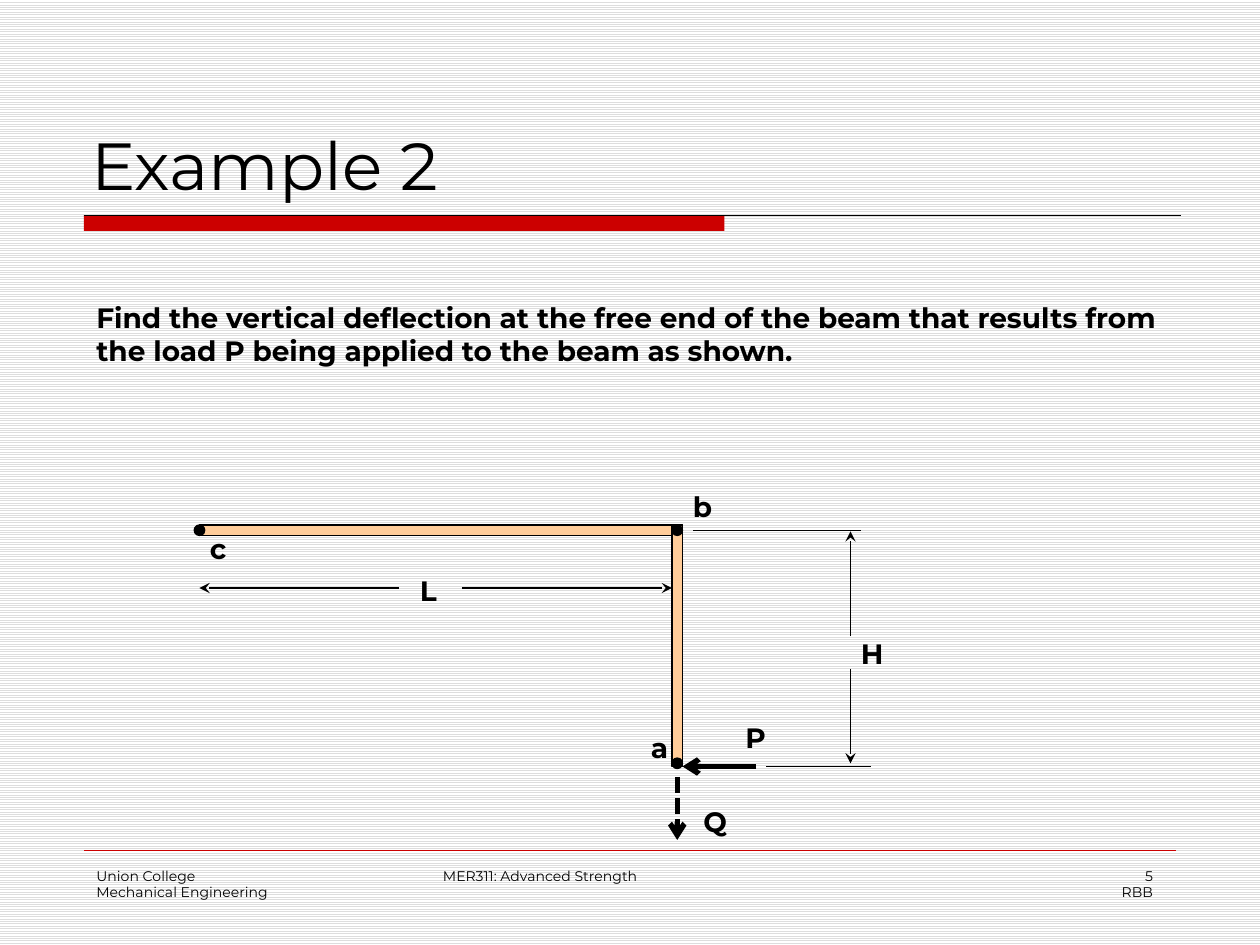
from typing import NamedTuple

from lxml.etree import SubElement
from pptx import Presentation
from pptx.dml.color import RGBColor
from pptx.enum.dml import MSO_LINE, MSO_PATTERN
from pptx.enum.shapes import MSO_CONNECTOR, MSO_SHAPE
from pptx.enum.text import MSO_ANCHOR, MSO_AUTO_SIZE as AutoSize, PP_ALIGN as Align
from pptx.oxml.ns import qn
from pptx.util import Emu, Inches, Pt

BLACK = RGBColor(0x00, 0x00, 0x00)
WHITE = RGBColor(0xFF, 0xFF, 0xFF)
STRIPE = RGBColor(0xDD, 0xDD, 0xDD)
RED = RGBColor(0xCC, 0x00, 0x00)
BEAM = RGBColor(0xFF, 0xCC, 0x99)
FONT = "Montserrat"
CELL = Inches(1) // 12  # the slide is a grid of 120 columns by 90 rows


class Box(NamedTuple):
    left: float
    top: float
    width: float = 1
    height: float = 1


class Line(NamedTuple):
    start: tuple[float, float]
    end: tuple[float, float]
    head: str = ""
    weight: float = 0.75
    color: RGBColor = BLACK
    dash: MSO_LINE | None = None


class Text(NamedTuple):
    box: Box
    lines: tuple[str, ...]
    size: float = 8
    bold: bool = False
    align: Align = Align.LEFT
    fit: AutoSize = AutoSize.NONE


def cells(*counts: float) -> list[Emu]:
    """Turn grid counts into lengths."""
    return [Emu(round(count * CELL)) for count in counts]


def draw_shape(slide, kind: MSO_SHAPE, box: Box, fill: RGBColor, outlined: bool = True) -> None:
    shape = slide.shapes.add_shape(kind, *cells(*box))
    shape.shadow.inherit = False
    shape.fill.solid()
    shape.fill.fore_color.rgb = fill
    if outlined:
        shape.line.color.rgb = BLACK
        shape.line.width = Pt(0.75)
    else:
        shape.line.fill.background()


def draw_line(slide, line: Line) -> None:
    connector = slide.shapes.add_connector(
        MSO_CONNECTOR.STRAIGHT, *cells(*line.start, *line.end))
    connector.line.color.rgb = line.color
    connector.line.width = Pt(line.weight)
    if line.dash:
        connector.line.dash_style = line.dash
    if line.head:
        SubElement(connector.line._get_or_add_ln(), qn("a:tailEnd"), type=line.head)
    SubElement(connector._element.spPr, qn("a:effectLst"))


def write(frame, text: Text) -> None:
    frame.word_wrap = True
    frame.auto_size = text.fit
    for index, line in enumerate(text.lines):
        paragraph = frame.add_paragraph() if index else frame.paragraphs[0]
        paragraph.text = line
        paragraph.alignment = text.align
        paragraph.font.name = FONT
        paragraph.font.size = Pt(text.size)
        paragraph.font.bold = text.bold
        paragraph.font.color.rgb = BLACK


def draw_text(slide, text: Text) -> None:
    write(slide.shapes.add_textbox(*cells(*text.box)).text_frame, text)


def label(letter: str, left: float, top: float) -> Text:
    return Text(Box(left, top, 1, 4.4), (letter,), 16, True, Align.CENTER,
                AutoSize.SHAPE_TO_FIT_TEXT)


TITLE = Text(Box(7.5, 4, 105, 16), ("Example 2",), 38)
TITLE_BAR = Box(8, 20.5, 61, 1.5)
TEXTS = [
    Text(Box(8, 82, 25, 6), ("Union College", "Mechanical Engineering")),
    Text(Box(41, 82, 38, 6), ("MER311: Advanced Strength",)),
    Text(Box(86, 82, 25, 6), ("5", "RBB"), align=Align.RIGHT),
    Text(Box(8, 28, 104, 7.7),
         ("Find the vertical deflection at the free end of the beam that results "
          "from the load P being applied to the beam as shown.",),
         16, True, fit=AutoSize.SHAPE_TO_FIT_TEXT),
    label("c", 20, 50),
    label("b", 66, 46),
    label("a", 62, 69),
    label("L", 40, 54),
    label("P", 71, 68),
    label("Q", 67, 76),
    label("H", 82, 60),
]
BEAMS = [Box(19, 50, 46, 1), Box(64, 50, 1, 23)]
JOINTS = [Box(18.5, 50), Box(64, 72.2), Box(64, 50)]
LINES = [
    Line((8, 20.5), (112.5, 20.5)),
    Line((8, 81), (112, 81), weight=0.25, color=RED),
    # Length L
    Line((44, 56), (64, 56), "stealth"),
    Line((38, 56), (19, 56), "stealth"),
    # Height H
    Line((66, 50.5), (82, 50.5)),
    Line((73, 73), (83, 73)),
    Line((81, 60.6), (81, 50.6), "stealth"),
    Line((81, 63.7), (81, 72.7), "stealth"),
    # Loads P and Q
    Line((72, 73), (65, 73), "arrow", 3),
    Line((64.5, 74), (64.5, 80), "arrow", 3, dash=MSO_LINE.SQUARE_DOT),
]


def main() -> None:
    presentation = Presentation()
    presentation.slide_width, presentation.slide_height = cells(120, 90)
    slide = presentation.slides.add_slide(presentation.slide_layouts[5])

    background = slide.background.fill
    background.patterned()
    background.pattern = MSO_PATTERN.LIGHT_HORIZONTAL
    background.fore_color.rgb = STRIPE
    background.back_color.rgb = WHITE

    title = slide.shapes.title
    title.left, title.top, title.width, title.height = cells(*TITLE.box)
    title.text_frame.vertical_anchor = MSO_ANCHOR.BOTTOM
    write(title.text_frame, TITLE)

    draw_shape(slide, MSO_SHAPE.RECTANGLE, TITLE_BAR, RED, outlined=False)
    for beam in BEAMS:
        draw_shape(slide, MSO_SHAPE.RECTANGLE, beam, BEAM)
    for joint in JOINTS:
        draw_shape(slide, MSO_SHAPE.OVAL, joint, BLACK)
    for line in LINES:
        draw_line(slide, line)
    for text in TEXTS:
        draw_text(slide, text)

    presentation.save("out.pptx")


if __name__ == "__main__":
    main()
